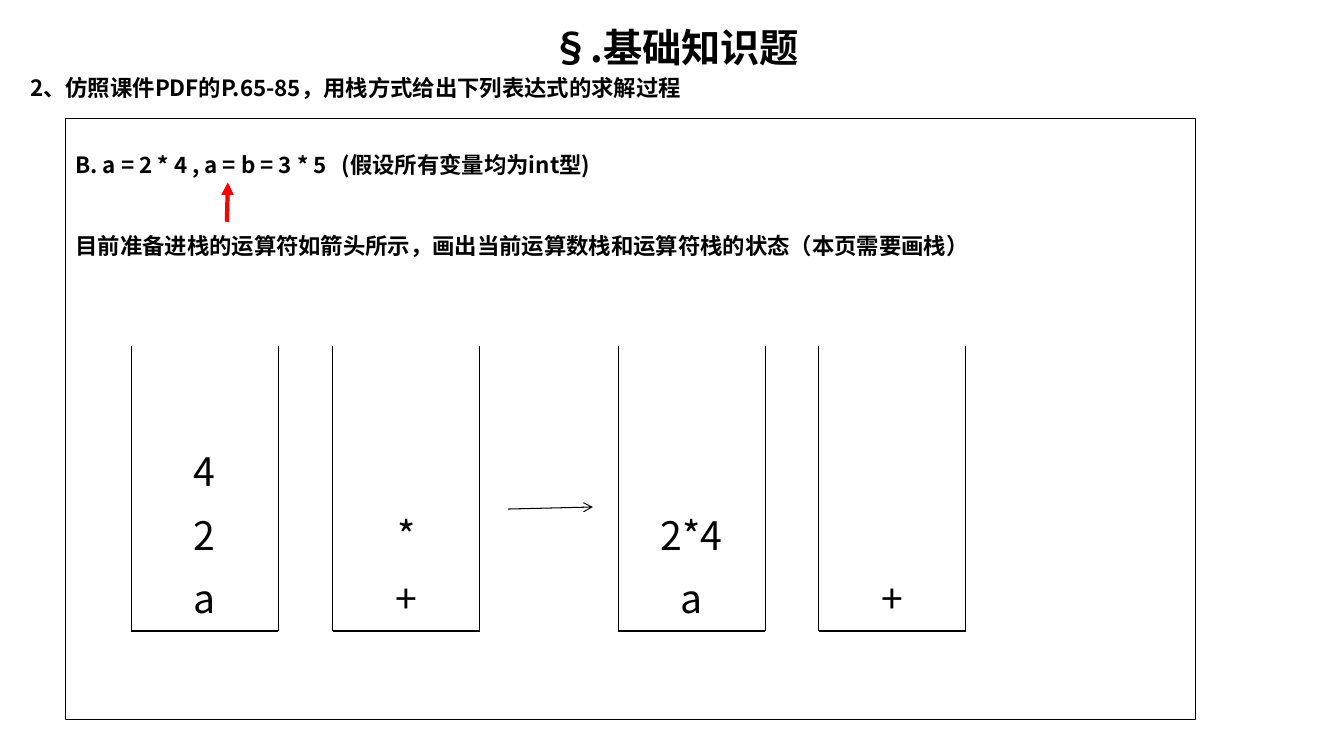
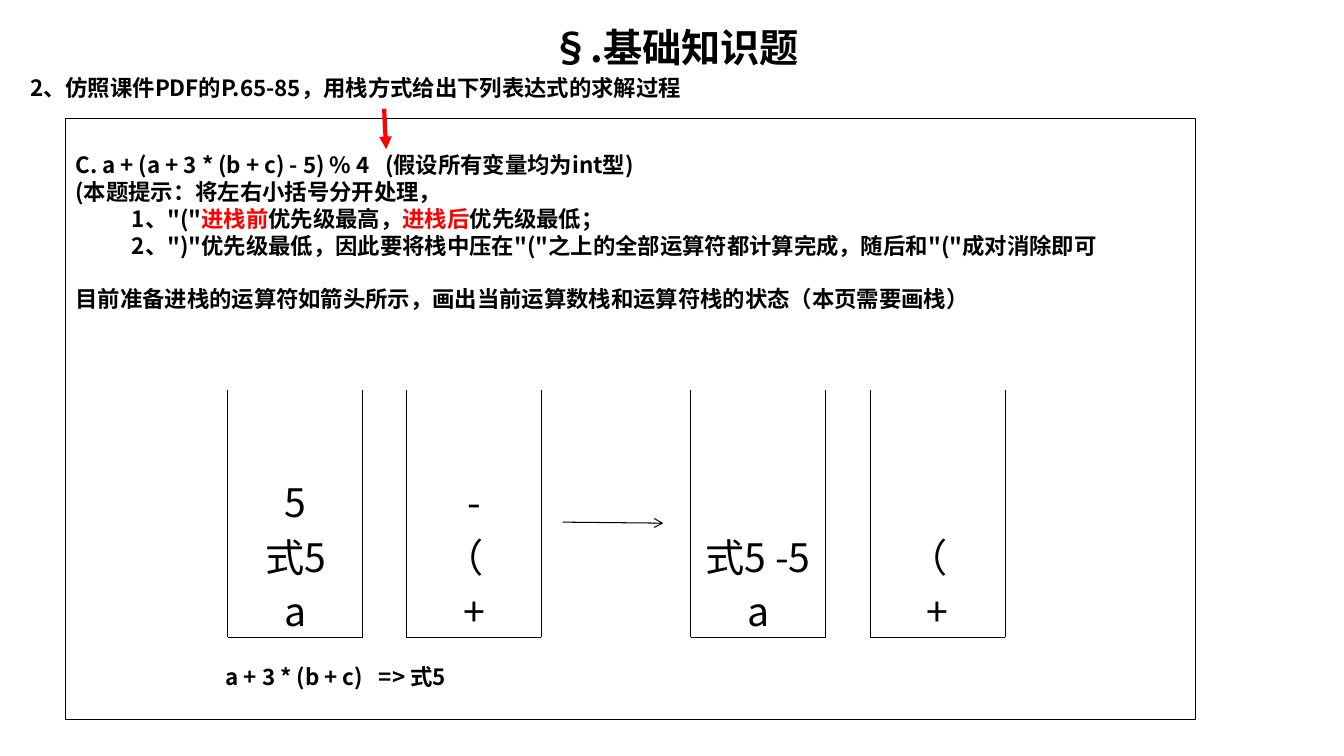
import pptx
import pptx.util
import pptx.dml.color
import pptx.enum.shapes
import pptx.enum.text
import pptx.oxml.ns
import lxml.etree

Inches = pptx.util.Inches
Pt = pptx.util.Pt
BLACK = pptx.dml.color.RGBColor(0x00, 0x00, 0x00)
RED = pptx.dml.color.RGBColor(0xFF, 0x00, 0x00)
FONT = "Noto Sans CJK SC"
CENTER = pptx.enum.text.PP_ALIGN.CENTER
LEFT = pptx.enum.text.PP_ALIGN.LEFT
LINE_HEIGHT = 1.2
BODY_LINE = 16 * LINE_HEIGHT

TITLE = "§.基础知识题"
QUESTION = "2、仿照课件PDF的P.65-85，用栈方式给出下列表达式的求解过程"
TASK = "目前准备进栈的运算符如箭头所示，画出当前运算数栈和运算符栈的状态（本页需要画栈）"

EXERCISES = [
    {
        "lines": [
            ("B. a = 2 * 4 , a = b = 3 * 5\t(假设所有变量均为int型)", {"tab": 2.64}),
            (TASK, {"before": 2 * BODY_LINE}),
        ],
        "pointer": (2.25, 2.2, 2.26, 1.81),
        "step": (5.04, 5.05, 5.88, 5.03),
        "lefts": (1.3, 3.3, 6.13, 8.12),
        "top": 3.43,
        "bottom": 6.26,
        "width": 1.46,
        "first": 5.65,
        "pitch": 0.63,
        "value_width": 1.07,
        "stacks": (("a", "2", "4"), ("+", "*"), ("a", "2*4"), ("+",)),
        "note": None,
    },
    {
        "lines": [
            ("C. a + (a + 3 * (b + c) - 5) % 4\t(假设所有变量均为int型)", {"tab": 3.07}),
            ("(本题提示：将左右小括号分开处理，", {}),
            ("1、\"(\"|进栈前|优先级最高，|进栈后|优先级最低；", {"indent": 0.56}),
            ("2、\")\"优先级最低，因此要将栈中压在\"(\"之上的全部运算符都计算完成，"
             "随后和\"(\"成对消除即可", {"indent": 0.56}),
            (TASK, {"before": BODY_LINE}),
        ],
        "pointer": (3.81, 1.08, 3.83, 1.48),
        "step": (5.58, 5.18, 6.58, 5.19),
        "lefts": (2.26, 4.03, 6.85, 8.63),
        "top": 3.87,
        "bottom": 6.32,
        "width": 1.34,
        "first": 5.78,
        "pitch": 0.54,
        "value_width": 0.98,
        "stacks": (("a", "式5", "5"), ("+", "（", "-"), ("a", "式5 -5"), ("+", "（")),
        "note": "a + 3 * (b + c)\t=> 式5",
    },
]


def write(box, text, size=16, bold=True, align=LEFT, before=0, indent=0, tab=None):
    frame = box.text_frame
    frame.word_wrap = True
    frame.vertical_anchor = pptx.enum.text.MSO_ANCHOR.TOP
    para = frame.add_paragraph() if frame.text else frame.paragraphs[0]
    para.alignment = align
    para.line_spacing = Pt(size * LINE_HEIGHT)
    para.space_before = Pt(before)
    properties = para._p.get_or_add_pPr()
    properties.set("marL", str(Inches(indent)))
    if tab:
        tabs = lxml.etree.SubElement(properties, pptx.oxml.ns.qn("a:tabLst"))
        lxml.etree.SubElement(tabs, pptx.oxml.ns.qn("a:tab"), pos=str(Inches(tab)), algn="l")
    for index, part in enumerate(text.split("|")):
        span = para.add_run()
        span.text = part
        span.font.size = Pt(size)
        span.font.bold = bold
        span.font.color.rgb = RED if index % 2 else BLACK
        span.font.name = FONT
        lxml.etree.SubElement(span.font._element, pptx.oxml.ns.qn("a:ea"), typeface=FONT)


def add_line(page, ends, color=BLACK, width=0.75, head=None):
    line = page.shapes.add_connector(
        pptx.enum.shapes.MSO_CONNECTOR.STRAIGHT, *[Inches(value) for value in ends])
    line.line.color.rgb = color
    line.line.width = Pt(width)
    if head:
        outline = line.line._get_or_add_ln()
        lxml.etree.SubElement(outline, pptx.oxml.ns.qn("a:tailEnd"), type=head)
    lxml.etree.SubElement(line._element.spPr, pptx.oxml.ns.qn("a:effectLst"))


deck = pptx.Presentation()
deck.slide_width = Inches(13.33)
deck.slide_height = Inches(7.5)

for exercise in EXERCISES:
    page = deck.slides.add_slide(deck.slide_layouts[6])

    heading = page.shapes.add_textbox(Inches(0.2), Inches(0.18), Inches(12.99), Inches(7.09))
    write(heading, TITLE, size=28, align=CENTER)
    write(heading, QUESTION, before=3.2)

    panel = page.shapes.add_shape(
        pptx.enum.shapes.MSO_SHAPE.RECTANGLE,
        Inches(0.65), Inches(1.18), Inches(11.21), Inches(5.96))
    panel.shadow.inherit = False
    panel.fill.background()
    panel.line.color.rgb = BLACK
    panel.line.width = Pt(0.75)
    panel.text_frame.margin_top = Inches(0.32)
    for text, layout in exercise["lines"]:
        write(panel, text, **layout)

    add_line(page, exercise["pointer"], color=RED, width=3, head="triangle")

    top, bottom, width = exercise["top"], exercise["bottom"], exercise["width"]
    for left, values in zip(exercise["lefts"], exercise["stacks"]):
        right = left + width
        add_line(page, (left, top, left, bottom))
        add_line(page, (left, bottom, right, bottom))
        add_line(page, (right, bottom, right, top))
        for level, value in enumerate(values):
            value_width = 1.52 if len(value) > 3 else exercise["value_width"]
            shift = -0.1 if value == "（" else 0
            box = page.shapes.add_textbox(
                Inches(left + (width - value_width) / 2 + shift),
                Inches(exercise["first"] - level * exercise["pitch"]),
                Inches(value_width), Inches(0.57))
            write(box, value, size=28, bold=False, align=CENTER)

    add_line(page, exercise["step"], head="arrow")

    if exercise["note"]:
        note = page.shapes.add_textbox(Inches(2.14), Inches(6.53), Inches(6.67), Inches(0.64))
        write(note, exercise["note"], tab=1.52)

deck.save("out.pptx")
